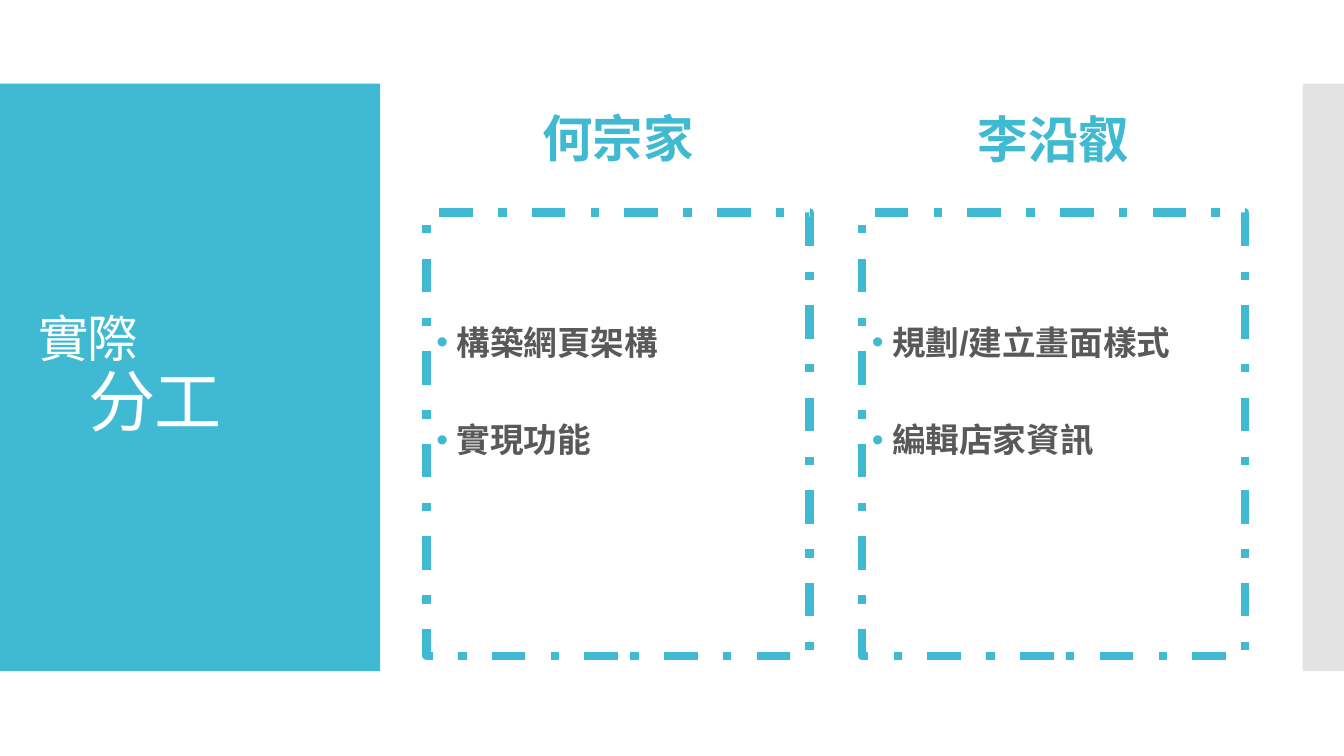
import pptx
import pptx.dml.color
import pptx.enum.dml
import pptx.enum.shapes
import pptx.enum.text
import pptx.oxml.ns
import pptx.util
from lxml import etree

Inches, Pt = pptx.util.Inches, pptx.util.Pt
ALIGN, ANCHOR = pptx.enum.text.PP_ALIGN, pptx.enum.text.MSO_ANCHOR
COLORS = {"teal": "40BAD2", "gray": "C8C8C8", "text": "595959", "white": "FFFFFF"}
MEMBERS = [
    ("何宗家", 0.88, ["構築網頁架構", "實現功能"]),
    ("李沿叡", 0.89, ["規劃/建立畫面樣式", "編輯店家資訊"]),
]
CARD_LEFT, CARD_STEP, CARD_WIDTH = 4.23, 4.32, 3.8


def rgb(name):
    return pptx.dml.color.RGBColor.from_string(COLORS[name])


def sub(parent, tag, **attrs):
    return etree.SubElement(parent, pptx.oxml.ns.qn(tag), **attrs)


def add_rect(s, left, top, width, height):
    sp = s.shapes.add_shape(pptx.enum.shapes.MSO_SHAPE.RECTANGLE, Inches(left),
                            Inches(top), Inches(width), Inches(height))
    sp.shadow.inherit = False
    sp.line.fill.background()
    return sp


def add_band(s, left, width, color, alpha=None):
    sp = add_rect(s, left, 0.83, width, 5.83)
    sp.fill.solid()
    sp.fill.fore_color.rgb = rgb(color)
    if alpha is not None:
        clr = sp.fill._xPr.find(".//" + pptx.oxml.ns.qn("a:srgbClr"))
        sub(clr, "a:alpha", val=str(alpha * 1000))


def add_text_box(s, left, top, width, height, anchor):
    tf = s.shapes.add_textbox(Inches(left), Inches(top), Inches(width),
                              Inches(height)).text_frame
    tf.word_wrap = True
    tf.vertical_anchor = anchor
    return tf


def format_run(r, size, font, color, bold=False):
    r.font.size, r.font.name, r.font.bold = Pt(size), font, bold
    r.font.color.rgb = rgb(color)


def add_title(s):
    tf = add_text_box(s, 0.28, 1.23, 3.22, 5.03, ANCHOR.MIDDLE)
    p = tf.paragraphs[0]
    p.text = "實際\v\t分工"
    p.line_spacing = 0.9
    for r, size in zip(p.runs, (36, 48)):
        format_run(r, size, "Calibri", "white")
        r.font._element.set("spc", "-60")


def add_name(s, left, height, name):
    tf = add_text_box(s, left, 1.12, CARD_WIDTH, height, ANCHOR.BOTTOM)
    tf.margin_bottom = Inches(0.33)
    p = tf.paragraphs[0]
    p.text = name
    p.alignment = ALIGN.CENTER
    p.line_spacing = 0.9
    format_run(p.runs[0], 36, "Calibri", "teal", True)


def add_bullet(p):
    pPr = p._p.get_or_add_pPr()
    pPr.set("marL", str(Inches(0.2)))
    pPr.set("indent", str(-Inches(0.2)))
    sub(sub(pPr, "a:buClr"), "a:srgbClr", val=COLORS["teal"])
    sub(pPr, "a:buFont", typeface="Arial")
    sub(pPr, "a:buChar", char="•")


def add_task_card(s, left, tasks):
    sp = add_rect(s, left, 2.11, CARD_WIDTH, 4.4)
    sp.fill.background()
    sp.line.color.rgb = rgb("teal")
    sp.line.width = Pt(6)
    sp.line.dash_style = pptx.enum.dml.MSO_LINE.DASH_DOT
    tf = sp.text_frame
    tf.word_wrap = True
    tf.vertical_anchor = ANCHOR.MIDDLE
    tf.margin_bottom = Inches(0.87)
    tf.text = "\n".join(tasks)
    for i, p in enumerate(tf.paragraphs):
        p.alignment = ALIGN.LEFT
        p.line_spacing = 0.9
        p.space_before = Pt(44 if i else 0)
        add_bullet(p)
        format_run(p.runs[0], 24, "Arial", "text", True)


def main():
    prs = pptx.Presentation()
    prs.slide_width, prs.slide_height = Inches(13.33), Inches(7.5)
    s = prs.slides.add_slide(prs.slide_layouts[6])
    add_band(s, 0, 3.77, "teal")
    add_band(s, 12.92, 0.41, "gray", alpha=50)
    add_title(s)
    for i, (name, name_height, tasks) in enumerate(MEMBERS):
        left = CARD_LEFT + i * CARD_STEP
        add_name(s, left, name_height, name)
        add_task_card(s, left, tasks)
    prs.save("out.pptx")


if __name__ == "__main__":
    main()
